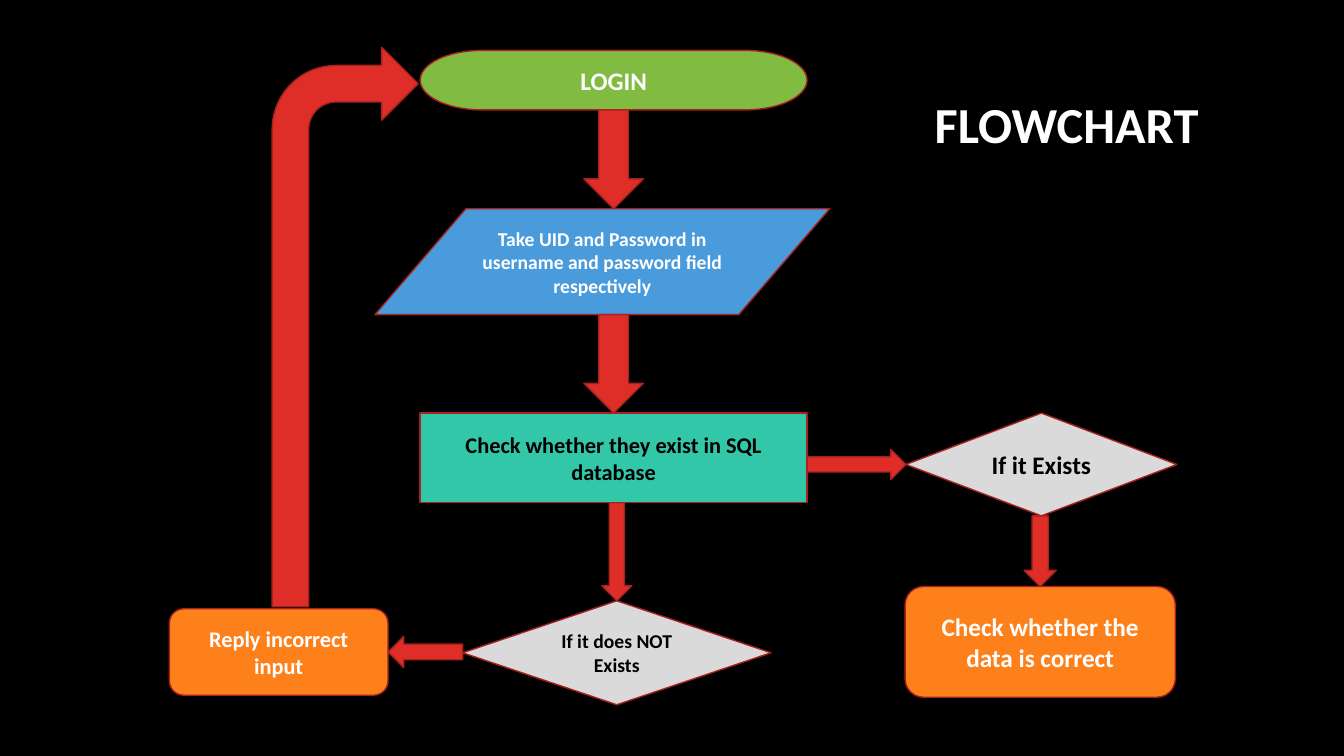
"""Build a login flowchart slide."""
from pptx import Presentation
from pptx.dml.color import RGBColor
from pptx.enum.shapes import MSO_SHAPE as SHAPE
from pptx.enum.text import MSO_ANCHOR, MSO_AUTO_SIZE, PP_ALIGN
from pptx.util import Cm, Pt

BLACK = RGBColor(0x00, 0x00, 0x00)
WHITE = RGBColor(0xFF, 0xFF, 0xFF)
RED = RGBColor(0xDF, 0x2E, 0x28)
DARK_RED = RGBColor(0xA5, 0x22, 0x1E)
GREEN = RGBColor(0x81, 0xBB, 0x42)
BLUE = RGBColor(0x4A, 0x9B, 0xDC)
TEAL = RGBColor(0x32, 0xC7, 0xA9)
GREY = RGBColor(0xDA, 0xDA, 0xDA)
ORANGE = RGBColor(0xFE, 0x80, 0x1A)

FONT = "Calibri"
TITLE = "FLOWCHART"
TITLE_BOX = (21.29, 2.21, 11.18, 1.8)
RETURN_BOX = (6.86, 1.19, 3.68, 14.1)

STEPS = {
    "login": ("LOGIN", SHAPE.FLOWCHART_TERMINATOR,
              (10.59, 1.27, 9.75, 1.5), GREEN, WHITE, 18),
    "input": ("Take UID and Password in username and password field respectively",
              SHAPE.FLOWCHART_DATA, (9.45, 5.26, 11.46, 2.67), BLUE, WHITE, 14),
    "check": ("Check whether they exist in SQL database", SHAPE.FLOWCHART_PROCESS,
              (10.59, 10.41, 9.75, 2.26), TEAL, BLACK, 16),
    "exists": ("If it Exists", SHAPE.FLOWCHART_DECISION,
               (22.83, 10.41, 6.83, 2.59), GREY, BLACK, 18),
    "correct": ("Check whether the data is correct", SHAPE.FLOWCHART_ALTERNATE_PROCESS,
                (22.81, 14.78, 6.81, 2.79), ORANGE, WHITE, 18),
    "missing": ("If it does NOT Exists", SHAPE.FLOWCHART_DECISION,
                (11.66, 15.14, 7.77, 2.62), GREY, BLACK, 14),
    "reply": ("Reply incorrect input", SHAPE.FLOWCHART_ALTERNATE_PROCESS,
              (4.27, 15.34, 5.51, 2.18), ORANGE, WHITE, 16),
}

# start, end, step the arrow is centred on, arrow shape, thickness
ARROWS = [
    ("login", "input", "login", SHAPE.DOWN_ARROW, 1.5),
    ("input", "check", "check", SHAPE.DOWN_ARROW, 1.5),
    ("check", "exists", "exists", SHAPE.RIGHT_ARROW, 0.76),
    ("exists", "correct", "correct", SHAPE.DOWN_ARROW, 0.81),
    ("check", "missing", "missing", SHAPE.DOWN_ARROW, 0.76),
    ("missing", "reply", "reply", SHAPE.LEFT_ARROW, 0.79),
]


def add_block(s, kind, box, fill):
    sp = s.shapes.add_shape(kind, *map(Cm, box))
    sp.shadow.inherit = False
    sp.fill.solid()
    sp.fill.fore_color.rgb = fill
    sp.line.color.rgb = DARK_RED
    sp.line.width = Pt(1)
    return sp


def set_text(sp, text, size, color):
    tf = sp.text_frame
    tf.text = text
    tf.word_wrap = True
    tf.auto_size = MSO_AUTO_SIZE.NONE
    tf.vertical_anchor = MSO_ANCHOR.MIDDLE
    p = tf.paragraphs[0]
    p.alignment = PP_ALIGN.CENTER
    font = p.runs[0].font
    font.name = FONT
    font.size = Pt(size)
    font.bold = True
    font.color.rgb = color


def arrow_box(start, end, centre, kind, thickness):
    x1, y1, w1, h1 = STEPS[start][2]
    x2, y2, w2, h2 = STEPS[end][2]
    x, y, w, h = STEPS[centre][2]
    if kind == SHAPE.DOWN_ARROW:
        return x + (w - thickness) / 2, y1 + h1, thickness, y2 - y1 - h1
    top = y + (h - thickness) / 2
    if kind == SHAPE.RIGHT_ARROW:
        return x1 + w1, top, x2 - x1 - w1, thickness
    return x2 + w2, top, x1 - x2 - w2, thickness


def main():
    prs = Presentation()
    prs.slide_width, prs.slide_height = Cm(33.87), Cm(19.05)
    s = prs.slides.add_slide(prs.slide_layouts[5])
    s.background.fill.solid()
    s.background.fill.fore_color.rgb = BLACK

    title = s.shapes.title
    title.left, title.top, title.width, title.height = map(Cm, TITLE_BOX)
    set_text(title, TITLE, 36, WHITE)

    for text, kind, box, fill, color, size in STEPS.values():
        set_text(add_block(s, kind, box, fill), text, size, color)
    for arrow in ARROWS:
        add_block(s, arrow[3], arrow_box(*arrow), RED)
    add_block(s, SHAPE.BENT_ARROW, RETURN_BOX, RED)

    prs.save("out.pptx")


if __name__ == "__main__":
    main()
